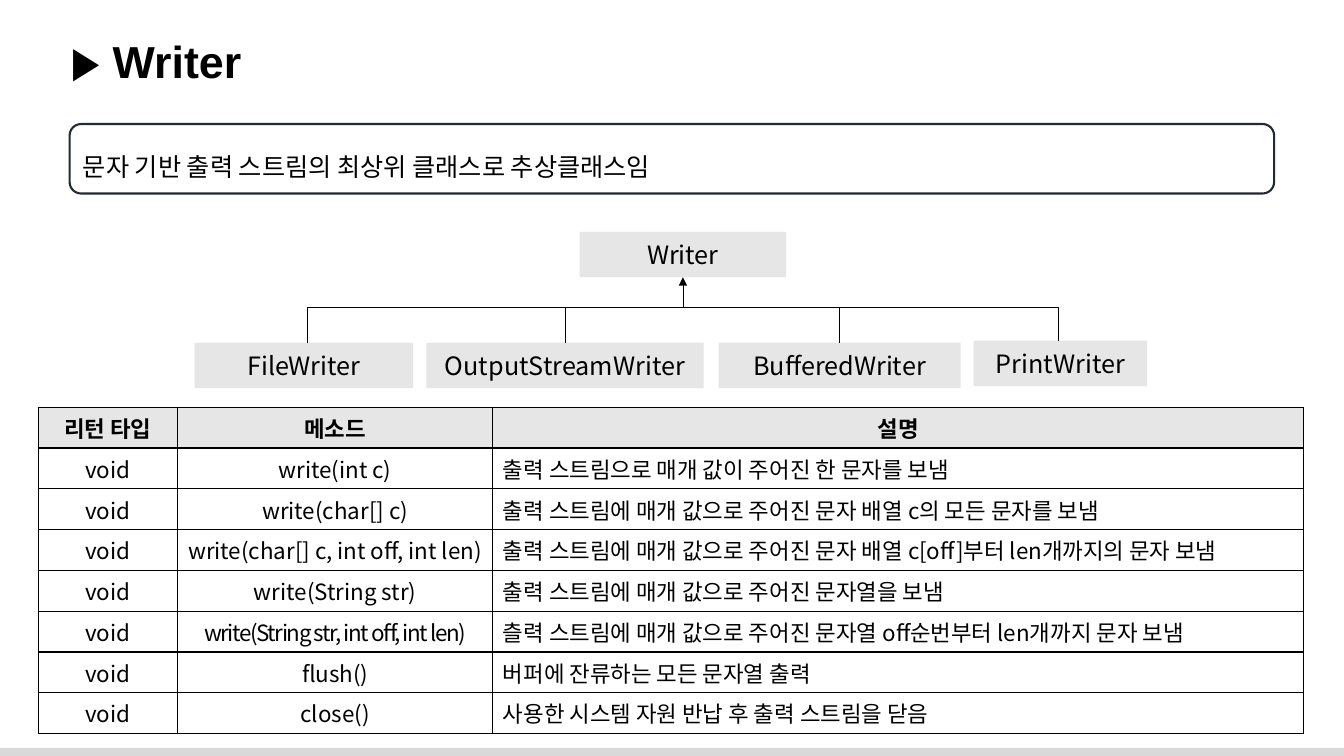
from lxml.etree import SubElement
from pptx import Presentation
from pptx.dml.color import RGBColor
from pptx.enum.shapes import MSO_CONNECTOR, MSO_SHAPE as SHAPE
from pptx.enum.text import MSO_ANCHOR as ANCHOR, PP_ALIGN as ALIGN
from pptx.oxml.ns import qn
from pptx.util import Inches, Pt

BLACK = RGBColor(0x00, 0x00, 0x00)
GREY = RGBColor(0xE7, 0xE6, 0xE6)
BAR = RGBColor(0xD9, 0xD9, 0xD9)
NAVY = RGBColor(0x22, 0x2A, 0x35)
KOREAN = "Noto Sans CJK KR"
COLS, ROWS = 133.33, 75
TITLE_FONT = {"size": Pt(32), "name": "Arial", "bold": True}
NOTE_FONT = {"size": Pt(18), "name": "Arial"}
BOX_FONT = {"size": Pt(18), "name": KOREAN}
CELL_FONT = {"size": Pt(16), "name": KOREAN, "bold": False}
HEAD_FONT = {**CELL_FONT, "bold": True}
SUBCLASSES = [
    ("FileWriter", 19.3, 34, 21.7),
    ("OutputStreamWriter", 42.3, 34, 27.5),
    ("BufferedWriter", 71.3, 34, 24),
    ("PrintWriter", 96.6, 33.8, 17.2),
]
COLUMN_WIDTHS = [13.8, 31.3, 80.4]
HEADERS = ["리턴 타입", "메소드", "설명"]
TIGHT_METHOD = "write(String str, int off, int len)"
METHODS = [
    ("write(int c)", "출력 스트림으로 매개 값이 주어진 한 문자를 보냄"),
    ("write(char[] c)", "출력 스트림에 매개 값으로 주어진 문자 배열 c의 모든 문자를 보냄"),
    ("write(char[] c, int off, int len)",
     "출력 스트림에 매개 값으로 주어진 문자 배열 c[off]부터 len개까지의 문자 보냄"),
    ("write(String str)", "출력 스트림에 매개 값으로 주어진 문자열을 보냄"),
    (TIGHT_METHOD, "츨력 스트림에 매개 값으로 주어진 문자열 off순번부터 len개까지 문자 보냄"),
    ("flush()", "버퍼에 잔류하는 모든 문자열 출력"),
    ("close()", "사용한 시스템 자원 반납 후 출력 스트림을 닫음"),
]


def grid(*units):
    """Turn grid columns or rows, ten to the inch, into lengths."""
    return [Inches(unit / 10) for unit in units]


def write(tf, text, font, align=ALIGN.LEFT, spacing=None):
    """Fill a text frame with one formatted run and return the run."""
    tf.vertical_anchor = ANCHOR.MIDDLE
    p = tf.paragraphs[0]
    p.alignment, p.line_spacing = align, spacing
    r = p.add_run()
    r.text = text
    for name, value in font.items():
        setattr(r.font, name, value)
    r.font.color.rgb = BLACK
    SubElement(r.font._element, qn("a:ea"), typeface=KOREAN)
    return r


def add_title(s, text):
    """Place and format the title placeholder."""
    sp = s.shapes.title
    sp.left, sp.top, sp.width, sp.height = grid(6, 2.8, 126, 6.4)
    sp.text_frame.word_wrap = True
    write(sp.text_frame, text, TITLE_FONT)


def add_box(s, kind, at, fill=None, line=None):
    """Add a preset shape with an optional fill and outline."""
    sp = s.shapes.add_shape(kind, *grid(*at))
    sp.shadow.inherit = False
    if fill is None:
        sp.fill.background()
    else:
        sp.fill.solid()
        sp.fill.fore_color.rgb = fill
    if line is None:
        sp.line.fill.background()
    else:
        sp.line.color.rgb, sp.line.width = line, Pt(1.5)
    return sp


def add_class(s, name, left, top, width):
    """Add a grey class box with its name."""
    sp = add_box(s, SHAPE.RECTANGLE, (left, top, width, 4.5), GREY)
    write(sp.text_frame, name, BOX_FONT, ALIGN.CENTER)
    return sp


def add_link(s, box, site, rail, arrow=False):
    """Join the middle of a box side vertically to the rail."""
    x = box.left + box.width // 2
    y, = grid(rail)
    link = s.shapes.add_connector(MSO_CONNECTOR.STRAIGHT, x, y, x, y)
    link.end_connect(box, site)
    link.line.color.rgb, link.line.width = BLACK, Pt(0.5)
    if arrow:
        SubElement(link.line._get_or_add_ln(), qn("a:tailEnd"), type="triangle")
    SubElement(link._element.spPr, qn("a:effectLst"))


def add_bracket(s, left, right, rail, left_end, right_end):
    """Draw the open bracket that spans the outer subclasses."""
    points = [(left, left_end), (left, rail), (right, rail), (right, right_end)]
    start, *rest = [tuple(grid(*point)) for point in points]
    builder = s.shapes.build_freeform(*start)
    builder.add_line_segments(rest, close=False)
    sp = builder.convert_to_shape()
    sp.shadow.inherit = False
    sp.fill.background()
    sp.line.color.rgb, sp.line.width = BLACK, Pt(1)


def add_hierarchy(s):
    """Draw the parent class, its subclasses and their links."""
    rail = 30.5
    parent = add_class(s, "Writer", 57.5, 23, 20.5)
    boxes = [add_class(s, *subclass) for subclass in SUBCLASSES]
    add_link(s, parent, 2, rail, arrow=True)
    add_bracket(s, 30.5, 105, rail, SUBCLASSES[0][2], SUBCLASSES[-1][2])
    for box in boxes[1:-1]:
        add_link(s, box, 0, rail)


def format_cell(cell, fill):
    """Give a cell black borders, small margins and its fill."""
    tc_pr = cell._tc.get_or_add_tcPr()
    for side in "LRTB":
        ln = SubElement(tc_pr, qn(f"a:ln{side}"), w=str(Pt(1)))
        solid = SubElement(ln, qn("a:solidFill"))
        SubElement(solid, qn("a:srgbClr"), val=str(BLACK))
    cell.margin_top = cell.margin_bottom = Inches(0.03)
    if fill is None:
        cell.fill.background()
    else:
        cell.fill.solid()
        cell.fill.fore_color.rgb = fill


def add_methods(s):
    """Add the table of return types, methods and descriptions."""
    rows = [HEADERS] + [("void", *method) for method in METHODS]
    at = grid(3.8, 40.4, sum(COLUMN_WIDTHS), 32.4)
    table = s.shapes.add_table(len(rows), len(HEADERS), *at).table
    table.first_row = table.horz_banding = False
    for column, width in zip(table.columns, grid(*COLUMN_WIDTHS)):
        column.width = width
    for i, texts in enumerate(rows):
        for j, text in enumerate(texts):
            cell = table.cell(i, j)
            format_cell(cell, GREY if i == 0 else None)
            cell.vertical_anchor = ANCHOR.MIDDLE
            align = ALIGN.LEFT if i and j == 2 else ALIGN.CENTER
            r = write(cell.text_frame, text, CELL_FONT if i else HEAD_FONT, align)
            if text == TIGHT_METHOD:
                r.font._element.set("spc", "-100")


def main():
    """Build the slide and save it."""
    prs = Presentation()
    prs.slide_width, prs.slide_height = grid(COLS, ROWS)
    s = prs.slides.add_slide(prs.slide_layouts[5])
    add_box(s, SHAPE.RECTANGLE, (0, 74.2, COLS, 0.8), BAR)
    add_title(s, "▶ Writer")
    note = add_box(s, SHAPE.ROUNDED_RECTANGLE, (6.9, 12.3, 119.5, 6.9), line=NAVY)
    write(note.text_frame, "문자 기반 출력 스트림의 최상위 클래스로 추상클래스임",
          NOTE_FONT, spacing=1.5)
    add_methods(s)
    add_hierarchy(s)
    prs.save("out.pptx")


if __name__ == "__main__":
    main()
